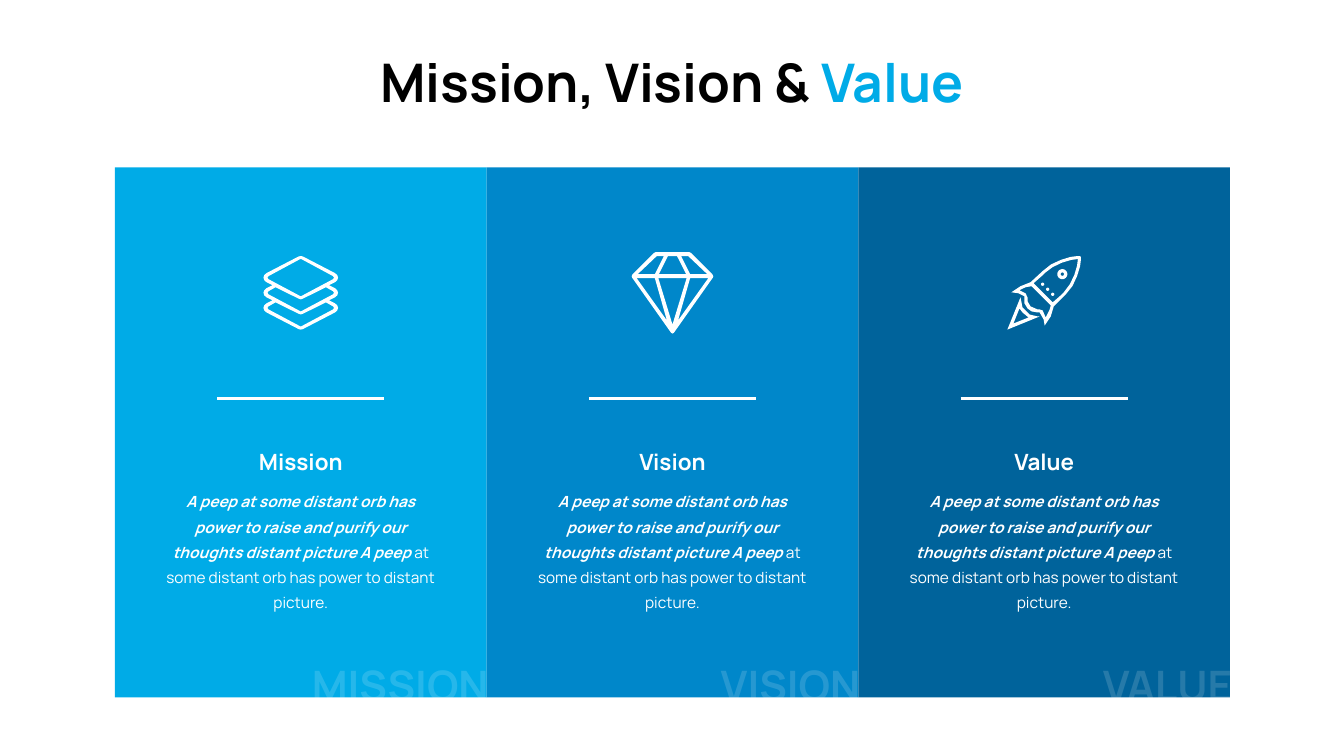
"""Build a slide with mission, vision and value cards."""
import dataclasses
import math

import lxml.etree
import pptx
import pptx.dml.color
import pptx.enum.shapes
import pptx.enum.text
import pptx.oxml.ns
import pptx.slide
import pptx.text.text
import pptx.util

Inches = pptx.util.Inches
ALIGN = pptx.enum.text.PP_ALIGN
Points = list[tuple[float, float]]

COLORS = {
    "black": "000000",
    "white": "FFFFFF",
    "sky": "00ABE7",
    "blue": "0087CA",
    "navy": "00639B",
}
FORMATS = {
    "title": {"name": "Manrope", "size": pptx.util.Pt(38), "bold": True},
    "heading": {"name": "Manrope", "size": pptx.util.Pt(16), "bold": True},
    "lead": {"name": "Manrope", "size": pptx.util.Pt(11), "bold": True, "italic": True},
    "body": {"name": "Manrope", "size": pptx.util.Pt(11), "bold": False, "italic": False},
    "ghost": {"name": "Manrope", "size": pptx.util.Pt(30), "bold": True},
}
LEAD = ("A peep at some distant orb has power to raise and purify our "
        "thoughts distant picture A peep ")
BODY = "at some distant orb has power to distant picture."
CARD_LEFT, CARD_TOP, CARD_HEIGHT = 1.14, 1.66, 5.26
CARD_WIDTH = (12.2 - CARD_LEFT) / 3
RULE_WIDTH, RULE_TOP = 1.66, 3.95
BODY_WIDTH = 2.94
GHOST_OVERHANG = 0.12
ICON_UNITS = 1000


@dataclasses.dataclass(frozen=True)
class Span:
    text: str
    style: str
    color: str = "white"
    alpha: int = 100


@dataclasses.dataclass(frozen=True)
class Icon:
    size: float
    top: float
    contours: list[Points]


@dataclasses.dataclass(frozen=True)
class Card:
    name: str
    color: str
    heading_width: float
    ghost_width: float
    icon: Icon


def flip(points: Points, axis: float) -> Points:
    """Reflect points across a vertical axis, in reverse order."""
    return [(2 * axis - x, y) for x, y in reversed(points)]


def mirrored(half: Points, axis: float) -> Points:
    """Complete a symmetric outline from its right half."""
    return half + flip(half, axis)


def circle(x: float, y: float, radius: float) -> Points:
    """Return a round contour."""
    angles = [math.tau * step / 24 for step in range(24)]
    return [(x + radius * math.cos(a), y + radius * math.sin(a)) for a in angles]


def layers_icon() -> Icon:
    """Describe three stacked layers."""
    axis = 37
    outline = [(37, 0), (39, 0.4)]
    for drop in (0, 15, 30):
        outline += [(71, 17 + drop), (73.2, 19 + drop), (74, 21.5 + drop),
                    (73.2, 24 + drop), (71, 26 + drop)]
        outline += [(65, 29 + drop)] if drop < 30 else [(39, 72.6), (37, 73)]
    top_sheet = [(37, 3), (38, 3.3), (69, 20), (70, 21.5), (69, 23), (38, 39.5), (37, 40)]
    lower_sheet = [(37, 43), (39, 42.4), (62, 31), (69, 35), (70, 36.5),
                   (69, 38), (38, 54.5), (37, 55)]
    halves = [outline, top_sheet, lower_sheet, [(x, y + 15) for x, y in lower_sheet]]
    return Icon(0.74, 2.54, [mirrored(half, axis) for half in halves])


def diamond_icon() -> Icon:
    """Describe a cut diamond."""
    axis = 40.5
    halves = [
        [(axis, 0), (57, 0), (59, 1), (80, 22), (81, 24), (80.5, 25.5), (42, 80), (axis, 81)],
        [(axis, 26), (54.5, 26), (axis, 72)],
        [(axis, 4), (45, 4), (54, 22), (axis, 22)],
    ]
    facets = [
        [(46, 68), (58, 26), (76, 26)],
        [(49, 4), (56, 4), (75, 22), (58, 22)],
    ]
    contours = [mirrored(half, axis) for half in halves]
    return Icon(0.81, 2.5, contours + facets + [flip(facet, axis) for facet in facets])


def rocket_icon() -> Icon:
    """Describe a rocket that points to the upper right."""
    hull = [(4, 36), (13, 30), (23, 26), (35, 15), (43.2, 8.4), (53.2, 3.8), (62.8, 0.9),
            (70, 0), (72, 0), (73, 1), (73, 3), (72.1, 10.2), (69.2, 19.8), (64.6, 29.8),
            (58, 38), (46, 50), (43, 60), (37, 69), (36, 63), (32, 56), (30, 56),
            (24, 55), (20, 52), (17, 47), (17, 40), (11, 37)]
    cabin = [(26, 27), (34, 20), (37, 17), (45, 11), (54.2, 6.6), (63.2, 3.9), (70, 3),
             (69.1, 9.8), (66.4, 18.8), (62, 28), (56, 36), (53, 39), (45, 46)]
    fins = [(24, 30), (43, 49), (42, 53), (38, 61), (35, 54), (32, 53), (30, 53),
            (23, 50), (20, 45), (20, 41), (18, 37), (12, 34), (18, 31)]
    flame = [(13, 41), (0, 73), (32, 60), (30, 60), (22, 58), (15, 51)]
    flame_core = [(6, 67), (12, 52), (15, 56), (21, 61)]
    rivets = [circle(35 + step, 28 + step, 1.6) for step in (0, 5, 10)]
    window = [circle(54.5, 18, radius) for radius in (5, 1.7)]
    return Icon(0.73, 2.54, [hull, cabin, fins, flame, flame_core, *rivets, *window])


def rgb(color: str) -> pptx.dml.color.RGBColor:
    """Look up a named colour."""
    return pptx.dml.color.RGBColor.from_string(COLORS[color])


def add_text(slide: pptx.slide.Slide, box: tuple[float, float, float, float],
             spans: list[Span], align: ALIGN = ALIGN.CENTER,
             wrap: bool = False) -> pptx.text.text._Paragraph:
    """Add a text box holding one paragraph."""
    frame = slide.shapes.add_textbox(*map(Inches, box)).text_frame
    frame.word_wrap = wrap
    frame.auto_size = pptx.enum.text.MSO_AUTO_SIZE.SHAPE_TO_FIT_TEXT
    paragraph = frame.paragraphs[0]
    paragraph.alignment = align
    for span in spans:
        run = paragraph.add_run()
        run.text = span.text
        for attribute, value in FORMATS[span.style].items():
            setattr(run.font, attribute, value)
        run.font.color.rgb = rgb(span.color)
        if span.alpha < 100:
            fill_color = run._r.find(".//" + pptx.oxml.ns.qn("a:srgbClr"))
            alpha = lxml.etree.SubElement(fill_color, pptx.oxml.ns.qn("a:alpha"))
            alpha.set("val", str(span.alpha * 1000))
    return paragraph


def add_panel(slide: pptx.slide.Slide, left: float, color: str) -> None:
    """Add the coloured background of a card."""
    panel = slide.shapes.add_shape(
        pptx.enum.shapes.MSO_SHAPE.RECTANGLE, Inches(left), Inches(CARD_TOP),
        Inches(CARD_WIDTH), Inches(CARD_HEIGHT))
    panel.shadow.inherit = False
    panel.fill.solid()
    panel.fill.fore_color.rgb = rgb(color)
    panel.line.fill.background()


def add_rule(slide: pptx.slide.Slide, center: float) -> None:
    """Add the white rule above a heading."""
    start, end = (Inches(center + side * RULE_WIDTH / 2) for side in (-1, 1))
    rule = slide.shapes.add_connector(
        pptx.enum.shapes.MSO_CONNECTOR.STRAIGHT, start, Inches(RULE_TOP), end, Inches(RULE_TOP))
    rule.line.color.rgb = rgb("white")
    rule.line.width = pptx.util.Pt(2)
    lxml.etree.SubElement(rule._element.spPr, pptx.oxml.ns.qn("a:effectLst"))


def add_icon(slide: pptx.slide.Slide, center: float, icon: Icon) -> None:
    """Add an icon as one filled outline with holes."""
    scaled = [[(x * ICON_UNITS / 100, y * ICON_UNITS / 100) for x, y in contour]
              for contour in icon.contours]
    builder = slide.shapes.build_freeform(*scaled[0][0], scale=Inches(1) / ICON_UNITS)
    for index, contour in enumerate(scaled):
        if index:
            builder.move_to(*contour[0])
        builder.add_line_segments(contour[1:], close=True)
    drawing = builder.convert_to_shape(Inches(center - icon.size / 2), Inches(icon.top))
    drawing.shadow.inherit = False
    drawing.fill.solid()
    drawing.fill.fore_color.rgb = rgb("white")
    drawing.line.fill.background()


def add_card(slide: pptx.slide.Slide, left: float, card: Card) -> None:
    """Add the contents of a card over its panel."""
    center = left + CARD_WIDTH / 2
    body = add_text(slide, (center - BODY_WIDTH / 2, 4.77, BODY_WIDTH, 1.08),
                    [Span(LEAD, "lead"), Span(BODY, "body")], wrap=True)
    body.line_spacing = pptx.util.Pt(18)
    add_text(slide, (center - card.heading_width / 2, 4.4, card.heading_width, 0.37),
             [Span(card.name, "heading")])
    add_rule(slide, center)
    add_icon(slide, center, card.icon)
    ghost_left = left + CARD_WIDTH + GHOST_OVERHANG - card.ghost_width
    add_text(slide, (ghost_left, 6.49, card.ghost_width, 0.61),
             [Span(card.name.upper(), "ghost", alpha=15)], ALIGN.RIGHT)


def main() -> None:
    """Build and save the slide."""
    deck = pptx.Presentation()
    deck.slide_width, deck.slide_height = Inches(13.33), Inches(7.5)
    slide = deck.slides.add_slide(deck.slide_layouts[6])
    add_text(slide, (3.41, 0.44, 6.51, 0.74),
             [Span("Mission, Vision & ", "title", "black"), Span("Value", "title", "sky")])
    cards = [
        Card("Mission", "sky", 1.09, 2, layers_icon()),
        Card("Vision", "blue", 0.92, 1.66, diamond_icon()),
        Card("Value", "navy", 0.87, 1.54, rocket_icon()),
    ]
    lefts = [CARD_LEFT + index * CARD_WIDTH for index in range(len(cards))]
    for left, card in zip(lefts, cards):
        add_panel(slide, left, card.color)
    for left, card in zip(lefts, cards):
        add_card(slide, left, card)
    deck.save("out.pptx")


if __name__ == "__main__":
    main()
